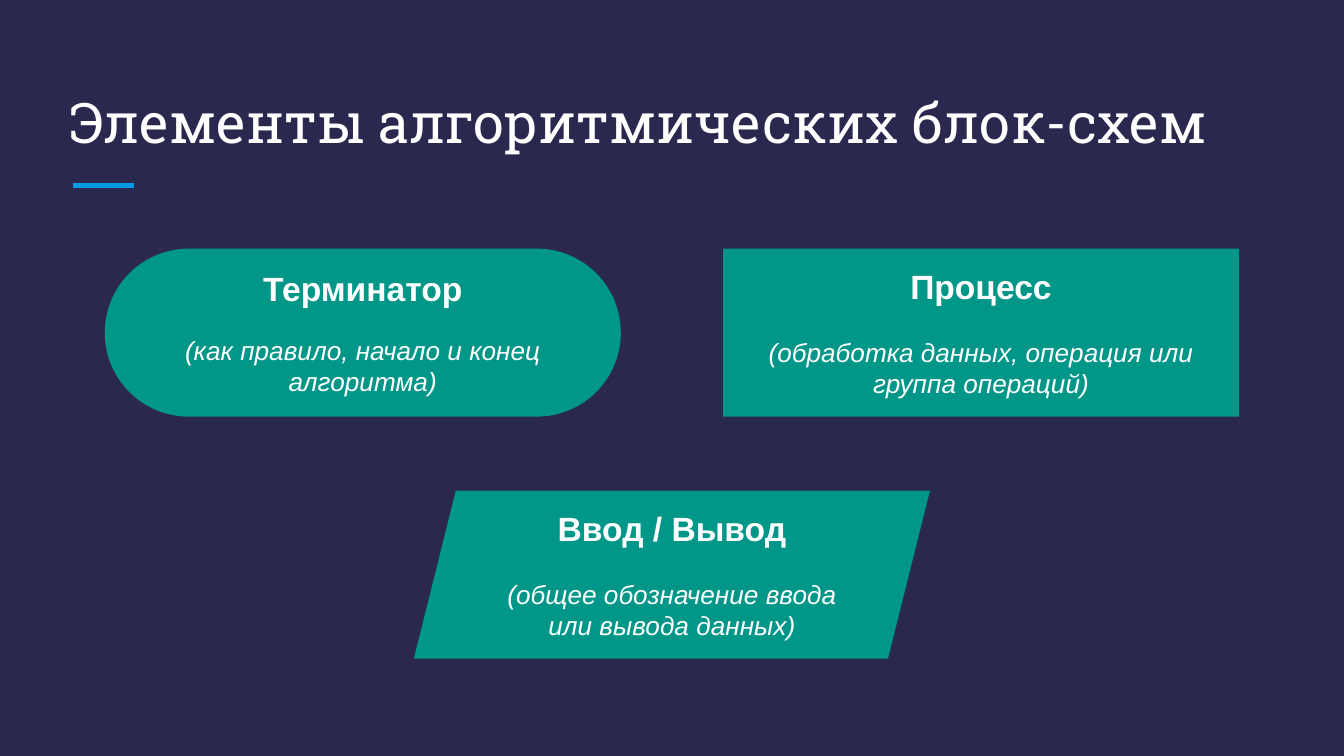
from dataclasses import dataclass

from lxml import etree
from pptx import Presentation
from pptx.dml.color import RGBColor
from pptx.enum import shapes, text
from pptx.oxml import ns
from pptx.util import Inches, Pt


@dataclass(frozen=True)
class Theme:
    background: str = "2A284F"
    block: str = "009688"
    accent: str = "039BE5"
    ink: str = "FFFFFF"
    title_font: str = "Roboto Slab"
    body_font: str = "Arial"
    title_size: int = 30
    name_size: int = 18
    note_size: int = 14
    accent_width: int = 3


THEME = Theme()
WIDTH = Inches(10)
HEIGHT = WIDTH * 9 // 16
BLOCK_WIDTH, BLOCK_HEIGHT = Inches(3.84), Inches(1.25)
ROW_TOP, ROW_STEP = Inches(1.85), Inches(1.8)
COLUMN_LEFT, COLUMN_STEP = Inches(0.78), Inches(2.3)

BLOCKS = [
    (shapes.MSO_SHAPE.RECTANGLE, None, 2, 0, 16,
     "Процесс", "(обработка данных, операция или группа операций)"),
    (shapes.MSO_SHAPE.ROUNDED_RECTANGLE, 0.5, 0, 0, 14,
     "Терминатор", "(как правило, начало и конец алгоритма)"),
    (shapes.MSO_SHAPE.PARALLELOGRAM, 0.25, 1, 1, 16,
     "Ввод / Вывод", "(общее обозначение ввода или вывода данных)"),
]


def color(code):
    return RGBColor.from_string(code)


def add_run(paragraph, words, font, size, bold=False, italic=False):
    run = paragraph.add_run()
    run.text = words
    run.font.name = font
    run.font.size = Pt(size)
    run.font.bold = bold
    run.font.italic = italic
    run.font.color.rgb = color(THEME.ink)


def set_frame(frame, anchor):
    frame.word_wrap = True
    frame.auto_size = text.MSO_AUTO_SIZE.NONE
    frame.vertical_anchor = anchor
    frame.margin_left = frame.margin_right = Inches(0.1)
    frame.margin_top = frame.margin_bottom = Inches(0.1)


def set_title(slide, words):
    title = slide.shapes.title
    title.left, title.top = Inches(0.42), Inches(0.5)
    title.width, title.height = Inches(9.15), Inches(0.75)
    set_frame(title.text_frame, text.MSO_ANCHOR.BOTTOM)
    heading = title.text_frame.paragraphs[0]
    heading.alignment = text.PP_ALIGN.LEFT
    add_run(heading, words, THEME.title_font, THEME.title_size)


def add_accent(slide):
    accent = slide.shapes.add_connector(
        shapes.MSO_CONNECTOR.STRAIGHT,
        Inches(0.54), Inches(1.38), Inches(1), Inches(1.38))
    accent.line.color.rgb = color(THEME.accent)
    accent.line.width = Pt(THEME.accent_width)
    etree.SubElement(accent._element.spPr, ns.qn("a:effectLst"))


def add_block(slide, outline, adjustment, column, row, gap, name, note):
    block = slide.shapes.add_shape(
        outline, COLUMN_LEFT + column * COLUMN_STEP, ROW_TOP + row * ROW_STEP,
        BLOCK_WIDTH, BLOCK_HEIGHT)
    if adjustment is not None:
        block.adjustments[0] = adjustment
    block.shadow.inherit = False
    block.fill.solid()
    block.fill.fore_color.rgb = color(THEME.block)
    block.line.fill.background()
    frame = block.text_frame
    set_frame(frame, text.MSO_ANCHOR.MIDDLE)
    heading = frame.paragraphs[0]
    caption = frame.add_paragraph()
    heading.alignment = caption.alignment = text.PP_ALIGN.CENTER
    caption.space_before = Pt(gap)
    add_run(heading, name, THEME.body_font, THEME.name_size, bold=True)
    add_run(caption, note, THEME.body_font, THEME.note_size, italic=True)


def main():
    deck = Presentation()
    deck.slide_width, deck.slide_height = WIDTH, HEIGHT
    slide = deck.slides.add_slide(deck.slide_layouts[5])
    slide.background.fill.solid()
    slide.background.fill.fore_color.rgb = color(THEME.background)
    add_accent(slide)
    set_title(slide, "Элементы алгоритмических блок-схем")
    for block in BLOCKS:
        add_block(slide, *block)
    deck.save("out.pptx")


if __name__ == "__main__":
    main()
